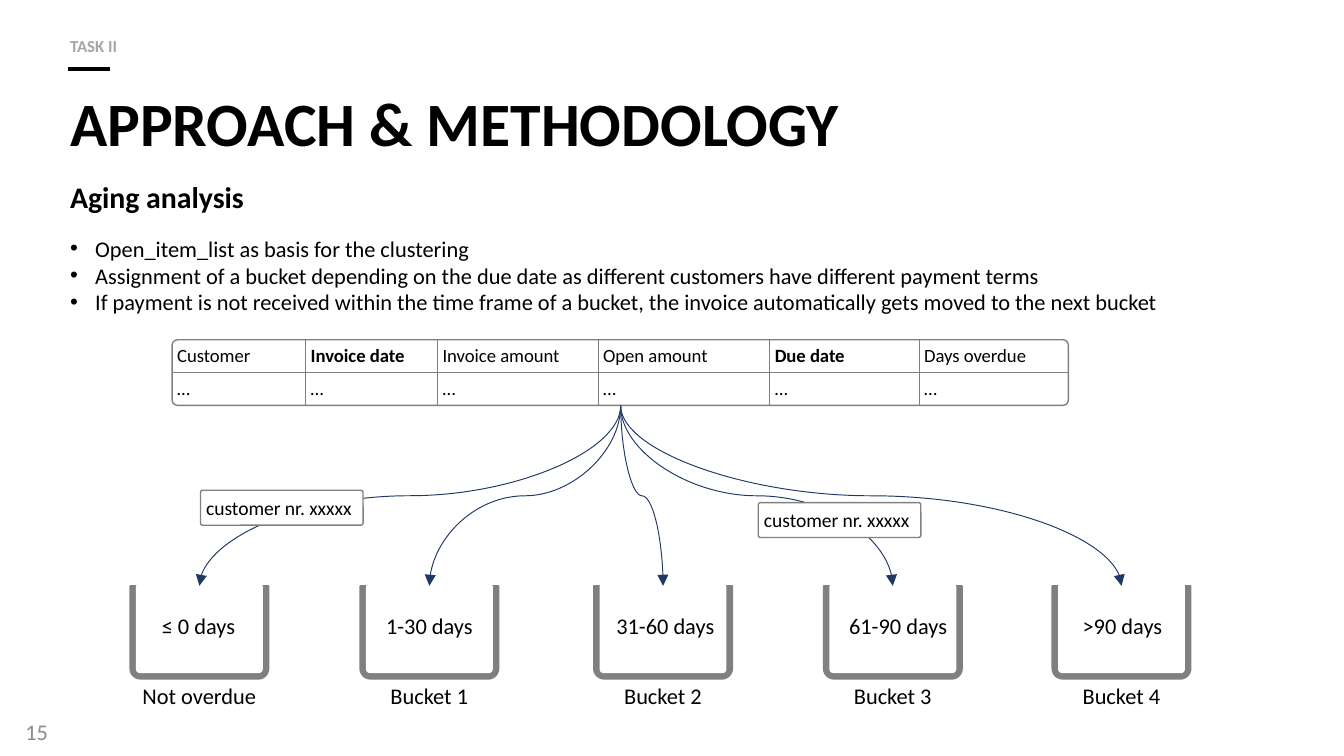
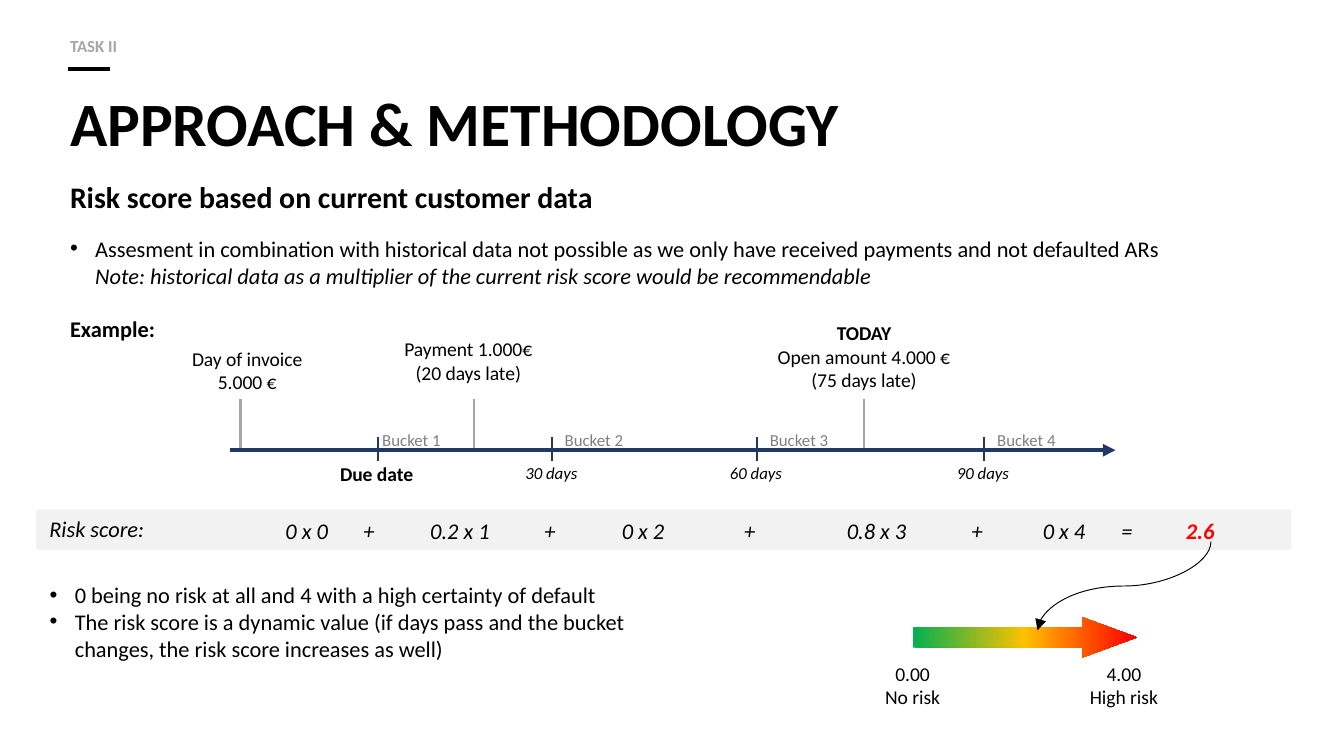
from copy import deepcopy

from lxml import etree
from pptx import Presentation
from pptx import util as u
from pptx.dml.color import RGBColor
from pptx.enum import shapes, text
from pptx.oxml.ns import qn

COLORS = {
    "ink": "000000", "paper": "FFFFFF", "kicker": "A6A6A6", "number": "8C8C8C",
    "gray": "808080", "navy": "203864", "band": "F2F2F2", "red": "FF0000",
    "green": "00B050", "amber": "FFC000",
}
FONT = "Calibri"
SHAPE = shapes.MSO_SHAPE
LINE = shapes.MSO_CONNECTOR
LEFT, CENTER = text.PP_ALIGN.LEFT, text.PP_ALIGN.CENTER
TOP, MIDDLE, BOTTOM = (text.MSO_ANCHOR.TOP, text.MSO_ANCHOR.MIDDLE,
                       text.MSO_ANCHOR.BOTTOM)


def rgb(name):
    return RGBColor.from_string(COLORS[name])


def pts(*values):
    return [u.Pt(v) for v in values]


def sub(parent, tag, **attrs):
    return etree.SubElement(parent, qn(tag), attrs)


def add_run(p, content, size=12, color="ink", bold=False, italic=False):
    r = p.add_run()
    r.text = content
    f = r.font
    f.name, f.size, f.bold, f.italic = FONT, u.Pt(size), bold, italic
    f.color.rgb = rgb(color)


def format_paragraph(p, align=LEFT, bullet=False, before=0, leading=1.0):
    p.alignment, p.line_spacing = align, leading
    p.space_before, p.space_after = u.Pt(before), u.Pt(0)
    pPr = p._p.get_or_add_pPr()
    indent = u.Pt(13.5) if bullet else 0
    pPr.set("marL", str(indent))
    pPr.set("indent", str(-indent))
    if bullet:
        sub(pPr, "a:buChar", char="•")
    else:
        sub(pPr, "a:buNone")


def set_frame(sp, wrap=True, anchor=TOP, inset=None):
    tf = sp.text_frame
    tf.word_wrap, tf.vertical_anchor = wrap, anchor
    tf.auto_size = text.MSO_AUTO_SIZE.NONE
    if inset is not None:
        tf.margin_left = tf.margin_right = u.Pt(inset)
        tf.margin_top = tf.margin_bottom = u.Pt(inset)
    return tf


def next_paragraph(tf):
    first = tf.paragraphs[0]
    return tf.add_paragraph() if first.runs else first


def add_label(s, box, *lines, align=CENTER, wrap=False, anchor=TOP, **style):
    """Text box with one paragraph per line."""
    tf = set_frame(s.shapes.add_textbox(*pts(*box)), wrap, anchor)
    for line in lines:
        p = next_paragraph(tf)
        format_paragraph(p, align)
        add_run(p, line, **style)
    return tf


def fill_placeholder(s, idx, box, anchor=TOP):
    sp = s.placeholders[idx]
    sp.left, sp.top, sp.width, sp.height = pts(*box)
    return set_frame(sp, anchor=anchor)


def add_list(s, idx, box, *items):
    tf = fill_placeholder(s, idx, box)
    for item in items:
        p = next_paragraph(tf)
        format_paragraph(p, bullet=True)
        add_run(p, item)
    return tf


def add_block(s, kind, box, fill=None, line=None, width=0.75, adj=()):
    sp = s.shapes.add_shape(kind, *pts(*box))
    sp.shadow.inherit = False
    if fill:
        sp.fill.solid()
        sp.fill.fore_color.rgb = rgb(fill)
    if line:
        sp.line.color.rgb = rgb(line)
        sp.line.width = u.Pt(width)
    else:
        sp.line.fill.background()
    for i, value in enumerate(adj):
        sp.adjustments[i] = value
    return sp


def add_line(s, ends, color, width, arrow=False, kind=LINE.STRAIGHT):
    c = s.shapes.add_connector(kind, *pts(*ends))
    c.line.color.rgb = rgb(color)
    c.line.width = u.Pt(width)
    if arrow:
        sub(c.line._ln, "a:tailEnd", type="triangle")
    sub(c._element.spPr, "a:effectLst")
    return c


def add_curve(s, x1, y1, x2, y2, color):
    """Curved arrow that leaves and arrives vertically: a turned connector."""
    cx, cy = (x1 + x2) / 2, (y1 + y2) / 2
    rightward = x2 > x1
    # Starting at the right end flips the connector.
    half_w = (y2 - y1) / 2 * (1 if rightward else -1)
    half_h = abs(x2 - x1) / 2
    ends = (cx + half_w, cy - half_h, cx - half_w, cy + half_h)
    c = add_line(s, ends, color, 0.5, arrow=True, kind=LINE.CURVE)
    c._element.spPr.find(qn("a:xfrm")).set("rot", "16200000" if rightward else "5400000")


def add_header(s, subtitle, subtitle_width):
    add_line(s, (36.3, 36.9, 59.2, 36.9), "ink", 2.25)
    p = fill_placeholder(s, 0, (30.3, 54, 664, 34.8), BOTTOM).paragraphs[0]
    format_paragraph(p, leading=u.Pt(30))
    add_run(p, "APPROACH & METHODOLOGY", size=33, bold=True)
    p = fill_placeholder(s, 1, (30.3, 13, 325, 16.5)).paragraphs[0]
    format_paragraph(p, leading=u.Pt(13.5))
    add_run(p, "TASK II", size=9, color="kicker", bold=True)
    p = fill_placeholder(s, 3, (30.3, 92.2, subtitle_width, 26.6)).paragraphs[0]
    format_paragraph(p)
    add_run(p, subtitle, size=16, bold=True)


def add_cell_borders(cell, sides):
    tcPr = cell._tc.get_or_add_tcPr()
    for i, side in enumerate("LRTB"):
        ln = etree.Element(qn(f"a:ln{side}"), w=str(u.Pt(0.5)))
        if side in sides:
            sub(sub(ln, "a:solidFill"), "a:srgbClr", val=COLORS["gray"])
        else:
            sub(ln, "a:noFill")
        tcPr.insert(i, ln)


def add_item_table(s, x, y, w, h):
    add_block(s, SHAPE.ROUNDED_RECTANGLE, (x, y, w, h), "paper", "gray", adj=[0.084])
    headers = ["Customer", "Invoice date", "Invoice amount",
               "Open amount", "Due date", "Days overdue"]
    widths = [71.5, 70.7, 86, 92, 80, 80]
    rows = [headers, ["…"] * len(headers)]
    table = s.shapes.add_table(len(rows), len(headers), *pts(x, y, w, h)).table
    table.first_row = table.horz_banding = False
    for col, width in zip(table.columns, widths):
        col.width = u.Pt(width)
    for i, row in enumerate(rows):
        table.rows[i].height = u.Pt(h / len(rows))
        for j, content in enumerate(row):
            cell = table.cell(i, j)
            cell.fill.background()
            cell.margin_left = cell.margin_right = u.Pt(2.7)
            cell.margin_top = cell.margin_bottom = u.Pt(2.7)
            add_run(cell.text_frame.paragraphs[0], content, size=10,
                    bold=content in ("Invoice date", "Due date"))
            sides = "B" if i == 0 else "T"
            sides += "L" if j > 0 else ""
            sides += "R" if j < len(row) - 1 else ""
            add_cell_borders(cell, sides)


def add_bucket(s, x, y, w, h, name, days, days_shift):
    wall = 3.5
    outer = add_block(s, SHAPE.ROUND_2_SAME_RECTANGLE, (x, y, w, h),
                      "gray", "gray", 1, [0.11, 0])
    inner = add_block(s, SHAPE.ROUND_2_SAME_RECTANGLE, (x + wall, y, w - 2 * wall, h - wall),
                      "paper", "paper", 1, [0.036, 0])
    outer.rotation = inner.rotation = 180
    add_label(s, (x, y + 48.2, w, 21.8), name)
    add_label(s, (x + days_shift, y + 10.5, w, 21.8), days)


def add_bucket_row(s, x, y, source):
    w, h = 74, 49.7
    buckets = [(0, "Not overdue", "≤ 0 days", -0.5), (123.2, "Bucket 1", "1-30 days", 0),
               (248.4, "Bucket 2", "31-60 days", 1.2), (371.5, "Bucket 3", "61-90 days", 2.8),
               (494, "Bucket 4", ">90 days", 0.5)]
    for left, name, days, shift in buckets:
        add_bucket(s, x + left, y, w, h, name, days, shift)
        add_curve(s, *source, x + left + w / 2, y, "navy")
    for left, top in ((37.6, -51.2), (336.4, -44.6)):
        tag = add_block(s, SHAPE.ROUNDED_RECTANGLE, (x + left, y + top, 87.1, 18.7),
                        "paper", "gray", adj=[0.064])
        p = set_frame(tag, wrap=False, anchor=MIDDLE, inset=2.7).paragraphs[0]
        format_paragraph(p)
        add_run(p, "customer nr. xxxxx", size=10.5)


def add_timeline(s, x, y, w):
    ticks = [(79.2, "Due date", dict(size=10.5, bold=True)),
             (172.8, "30 days", dict(size=9, italic=True)),
             (282.4, "60 days", dict(size=9, italic=True)),
             (404, "90 days", dict(size=9, italic=True))]
    bucket_lefts = [74.6, 172.3, 282.2, 404]
    for n, ((dx, name, style), left) in enumerate(zip(ticks, bucket_lefts), 1):
        add_line(s, (x + dx, y - 7, x + dx, y + 6), "navy", 1)
        add_label(s, (x + dx - 28, y + 2.9, 55, 19), name, **style)
        add_label(s, (x + left, y - 14.4, 46.4, 18), f"Bucket {n}", align=LEFT,
                  size=9, color="gray")
    for dx in (5.8, 130.8, 339.8):
        add_line(s, (x + dx, y - 27.4, x + dx, y - 1.4), "kicker", 1.5)
    add_line(s, (x, y, x + w, y), "navy", 2.25, arrow=True)

    add_label(s, (x - 37.4, y - 59, 93.6, 32.4), "Day of invoice 5.000 €", wrap=True, size=10.5)
    add_label(s, (x + 71.3, y - 64, 113, 32.4), "Payment 1.000€", "(20 days late)",
              wrap=True, size=10.5)
    tf = add_label(s, (x + 267.8, y - 72.7, 144, 45.4), "TODAY", "Open amount 4.000 €",
                   "(75 days late)", wrap=True, size=10.5)
    tf.paragraphs[0].runs[0].font.bold = True


def add_score_band(s, x, y, w, h):
    add_block(s, SHAPE.ROUNDED_RECTANGLE, (x, y, w, h), "band", adj=[0.061])
    add_label(s, (x, y - 0.7, 138, 21.8), "Risk score:", align=LEFT, wrap=True, italic=True)
    terms = [(144.9, "0 x 0"), (178.3, "+"), (227, "0.2 x 1"), (275.2, "+"),
             (325.1, "0 x 2"), (382.2, "+"), (450.2, "0.8 x 3"), (504.1, "+"),
             (550.6, "0 x 4"), (584.3, "="), (623.5, "2.6")]
    term_w = 60
    for center, term in terms:
        result = term == "2.6"
        add_label(s, (x + center - term_w / 2, y + 0.5, term_w, 21.8), term, italic=True,
                  bold=result, color="red" if result else "ink")


def add_risk_scale(s, x, y, w, h):
    arrow = add_block(s, SHAPE.RIGHT_ARROW, (x, y, w, h), adj=[0.5, 1.353])
    arrow.fill.gradient()
    arrow.fill.gradient_angle = 0
    stops = arrow._element.spPr.find(".//" + qn("a:gsLst"))
    stops.insert(1, deepcopy(stops[0]))
    scale = [(0, "green"), (0.5, "amber"), (0.99, "red")]
    for stop, (position, color) in zip(arrow.fill.gradient_stops, scale):
        stop.position = position
        stop.color.rgb = rgb(color)
    for cx, lines in ((0, ("0.00", "No risk")), (w - 7, ("4.00", "High risk"))):
        add_label(s, (x + cx - 28, y + 20.2, 56, 33.8), *lines, wrap=True, size=10.5)


def build_aging_slide(prs, layout):
    s = prs.slides.add_slide(layout)
    add_header(s, "Aging analysis", 109)
    add_list(s, 2, (30.3, 122.2, 634, 51),
             "Open_item_list as basis for the clustering",
             "Assignment of a bucket depending on the due date as different customers "
             "have different payment terms",
             "If payment is not received within the time frame of a bucket, the invoice "
             "automatically gets moved to the next bucket")
    unused = s.placeholders[4]._element
    unused.getparent().remove(unused)
    add_item_table(s, 92.2, 182, 480.2, 35.2)
    add_bucket_row(s, 69.8, 313.9, source=(332.5, 217.4))
    add_label(s, (6.5, 381, 162, 21.6), "15", align=LEFT, wrap=True, anchor=MIDDLE,
              color="number")


def build_risk_slide(prs, layout):
    s = prs.slides.add_slide(layout)
    add_header(s, "Risk score based on current customer data", 298)
    tf = add_list(s, 2, (30.3, 122.2, 684, 65.5),
                  "Assesment in combination with historical data not possible as we only "
                  "have received payments and not defaulted ARs")
    p = tf.paragraphs[0]
    p.add_line_break()
    add_run(p, "Note: historical data as a multiplier of the current risk score would be "
               "recommendable", italic=True)
    p = tf.add_paragraph()
    format_paragraph(p, before=14.4)
    add_run(p, "Example:", bold=True)
    add_timeline(s, 123.1, 241.2, 474.5)
    add_score_band(s, 19.4, 273, 672.5, 21.6)
    add_list(s, 4, (19.4, 307.6, 357, 65.5),
             "0 being no risk at all and 4 with a high certainty of default",
             "The risk score is a dynamic value (if days pass and the bucket changes, "
             "the risk score increases as well)")
    add_risk_scale(s, 488.9, 330.7, 120.2, 21.6)
    add_curve(s, 648.7, 290.2, 555.8, 337.7, "ink")


def main():
    prs = Presentation()
    prs.slide_width, prs.slide_height = pts(720, 405)
    comparison = prs.slide_layouts[4]
    build_aging_slide(prs, comparison)
    build_risk_slide(prs, comparison)
    prs.save("out.pptx")


if __name__ == "__main__":
    main()
